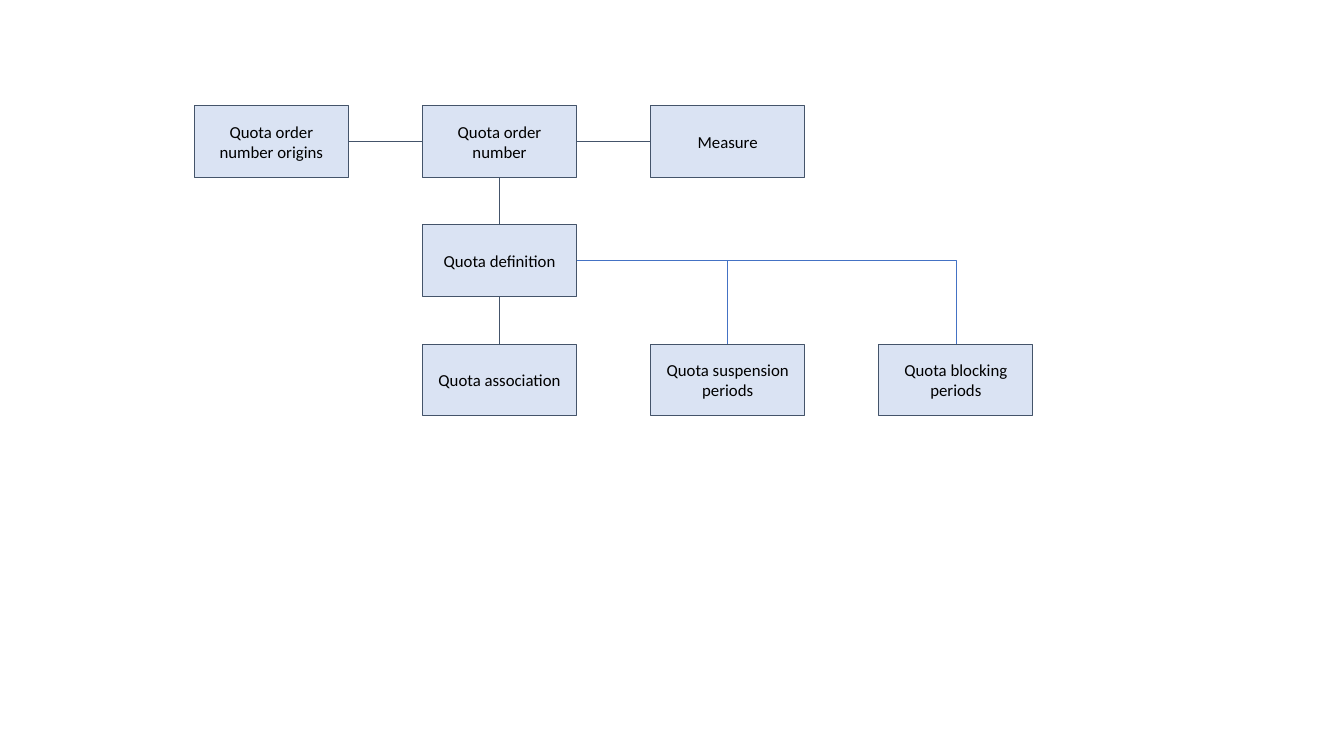
from lxml.etree import SubElement
from pptx import Presentation
from pptx.dml.color import RGBColor
from pptx.enum.shapes import MSO_CONNECTOR as Link, MSO_SHAPE as Shape
from pptx.enum.text import MSO_ANCHOR as Anchor, PP_ALIGN as Align
from pptx.oxml.ns import qn
from pptx.util import Cm, Pt


def paint(target, color):
    if hasattr(target, "solid"):
        target.solid()
        target = target.fore_color
    target.rgb = RGBColor.from_string(color)


def apply(target, values):
    for name, value in values.items():
        setattr(target, name, value)


FRAME = {"word_wrap": True, "vertical_anchor": Anchor.MIDDLE}
FONT = {"name": "Calibri", "size": Pt(12)}
LEFT, TOP = 4.9, 2.67
WIDTH, HEIGHT = 3.88, 1.8
COLUMN_STEP, ROW_STEP = 5.75, 3
SITE_TOP, SITE_LEFT, SITE_BOTTOM, SITE_RIGHT = range(4)

deck = Presentation()
apply(deck, {"slide_width": Cm(33.87), "slide_height": Cm(19.05)})
slide = deck.slides.add_slide(deck.slide_layouts[6])

entities = {
    "Quota order number": (1, 0),
    "Quota definition": (1, 1),
    "Measure": (2, 0),
    "Quota association": (1, 2),
    "Quota order number origins": (0, 0),
    "Quota suspension periods": (2, 2),
    "Quota blocking periods": (3, 2),
}
boxes = {}
for entity, (column, row) in entities.items():
    box = slide.shapes.add_shape(
        Shape.RECTANGLE,
        Cm(LEFT + column * COLUMN_STEP),
        Cm(TOP + row * ROW_STEP),
        Cm(WIDTH),
        Cm(HEIGHT),
    )
    box.shadow.inherit = False
    paint(box.fill, "DAE3F3")
    paint(box.line.color, "44546A")
    box.line.width = Pt(0.75)
    apply(box.text_frame, FRAME)
    label = box.text_frame.paragraphs[0]
    label.alignment = Align.CENTER
    wording = label.add_run()
    wording.text = entity
    apply(wording.font, FONT)
    paint(wording.font.color, "000000")
    boxes[entity] = box

across = (SITE_RIGHT, SITE_LEFT, Link.STRAIGHT, "44546A")
down = (SITE_BOTTOM, SITE_TOP, Link.STRAIGHT, "44546A")
branch = (SITE_RIGHT, SITE_TOP, Link.ELBOW, "4472C4")
relations = [
    ("Quota order number origins", "Quota order number", across),
    ("Quota order number", "Measure", across),
    ("Quota definition", "Quota association", down),
    ("Quota order number", "Quota definition", down),
    ("Quota definition", "Quota blocking periods", branch),
    ("Quota definition", "Quota suspension periods", branch),
]
for source, target, (exit_site, entry_site, route, color) in relations:
    relation = slide.shapes.add_connector(route, 0, 0, 0, 0)
    relation.begin_connect(boxes[source], exit_site)
    relation.end_connect(boxes[target], entry_site)
    paint(relation.line.color, color)
    relation.line.width = Pt(0.5)
    properties = relation._element.spPr
    SubElement(properties, qn("a:effectLst"))
    if route == Link.ELBOW:
        properties.find(qn("a:prstGeom")).set("prst", "bentConnector2")

deck.save("out.pptx")
